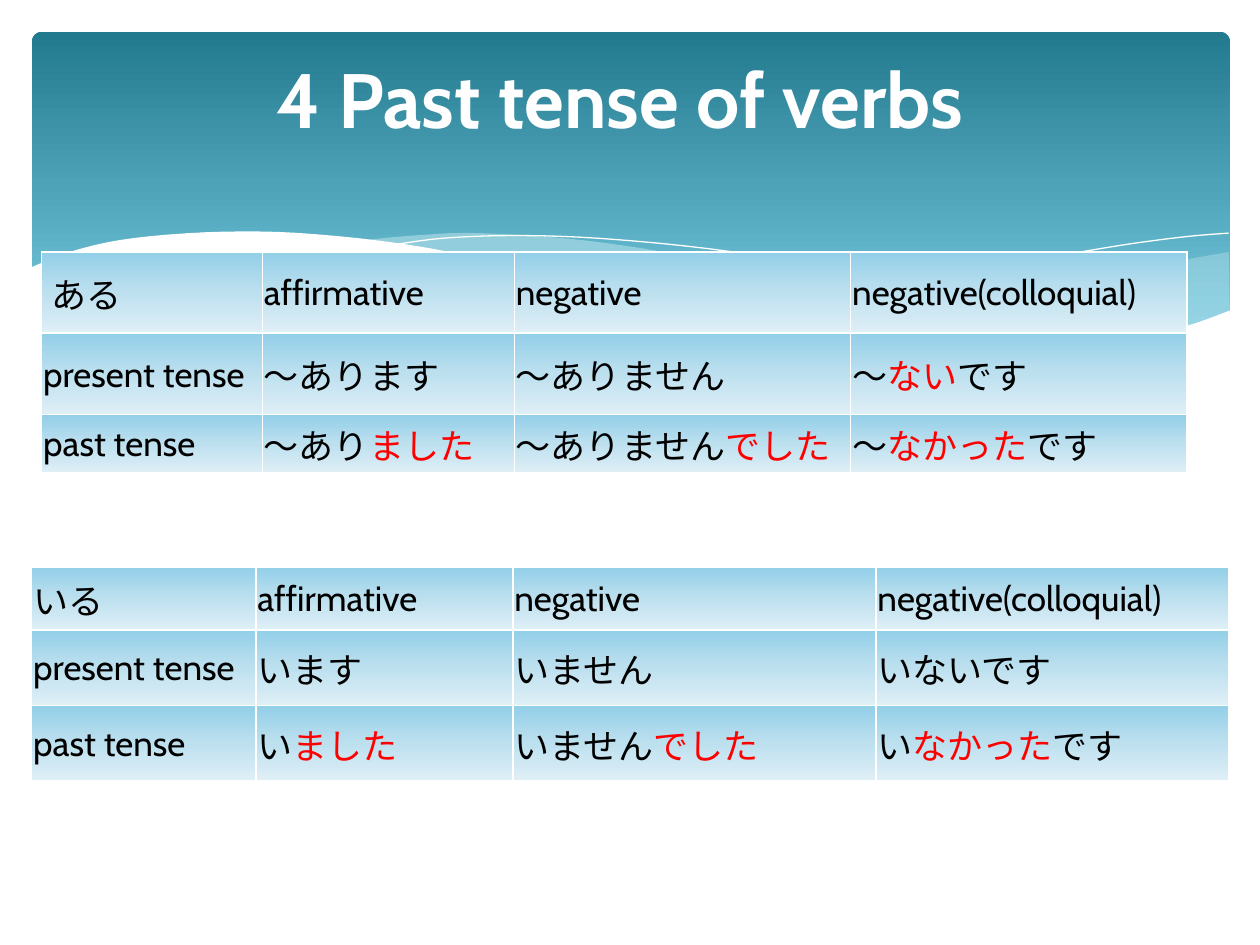
from dataclasses import dataclass
from typing import Optional

from lxml import etree
from pptx import Presentation
from pptx.dml.color import RGBColor
from pptx.enum.shapes import MSO_SHAPE
from pptx.enum.text import MSO_ANCHOR, PP_ALIGN
from pptx.oxml.ns import qn
from pptx.util import Cm, Pt

ROUNDED = MSO_SHAPE.ROUNDED_RECTANGLE
MIDDLE = MSO_ANCHOR.MIDDLE
CENTER = PP_ALIGN.CENTER

WHITE = RGBColor(0xFF, 0xFF, 0xFF)
BLACK = RGBColor(0x00, 0x00, 0x00)
RED = RGBColor(0xFF, 0x00, 0x00)
PALE = RGBColor(0xDE, 0xF5, 0xFA)
BAND_STOPS = ((0, RGBColor(0x22, 0x7A, 0x8F)), (90, RGBColor(0x7A, 0xCB, 0xE0)))
CELL_STOPS = (
    (0, RGBColor(0x92, 0xCF, 0xE8)),
    (50, RGBColor(0xBD, 0xE0, 0xEF)),
    (100, RGBColor(0xDF, 0xEF, 0xF6)),
)
MAIN_FONT = "Cabin"
STEM_FONT = "Calibri"

Point = tuple[float, float]


@dataclass
class Wave:
    """Smooth edges in centimetres; without a fill it is a thin white line."""
    edges: list[list[Point]]
    fill: Optional[RGBColor] = None
    opacity: int = 100


@dataclass
class Run:
    text: str
    color: RGBColor = BLACK
    font: str = MAIN_FONT


@dataclass
class VerbTable:
    left: float
    top: float
    columns: list[float]
    rows: list[float]
    cells: list[list[list[Run]]]


WAVES = [
    Wave([
        [(24.77, 5.08), (23.39, 5.33), (21.87, 5.66), (19.79, 6.15), (16.79, 6.73)],
        [(16.79, 6.73), (18.92, 6.99), (20.68, 7.06), (22.15, 6.96), (23.39, 6.73),
         (24.79, 6.27)],
    ], PALE, 29),
    Wave([
        [(22.68, 6.93), (20.5, 6.6), (17.93, 6.1), (15.98, 5.64), (14.1, 5.21),
         (11.81, 4.85), (9.65, 4.7), (8.33, 4.75), (7.26, 4.85)],
        [(7.26, 4.85), (9.19, 5.16), (11.4, 5.64), (14.38, 6.3), (16.51, 6.71),
         (18.34, 6.96), (19.94, 7.06), (21.29, 7.06), (22.68, 6.93)],
    ], PALE, 40),
    Wave([[(7.85, 4.95), (8.97, 4.8), (10.57, 4.75), (12.42, 4.83), (14.78, 5.08),
           (17.65, 5.56), (20.19, 6.12), (23.04, 6.91)]]),
    Wave([[(15.57, 6.53), (18.29, 5.82), (20.47, 5.33), (22.38, 4.98), (23.83, 4.78),
           (24.77, 4.7)]]),
    Wave([
        [(24.82, 6.25), (23.88, 6.58), (22.53, 6.88), (20.9, 7.04), (18.9, 6.96),
         (16.46, 6.65), (14.1, 6.22), (11.35, 5.59), (8.64, 5.0), (6.35, 4.72),
         (4.5, 4.67), (2.69, 4.8), (1.5, 5.05), (0.58, 5.41)],
        [(0.58, 8.36), (24.82, 8.36)],
    ], WHITE),
]

STEM = Run("い", font=STEM_FONT)
HEADINGS = [[Run(text)] for text in ("affirmative", "negative", "negative(colloquial)")]
PRESENT = [Run("present tense")]
PAST = [Run("past tense")]

ARU = VerbTable(0.84, 5.08, [4.45, 5.08, 6.78, 6.78], [1.63, 1.65, 1.17], [
    [[Run(" ある")], *HEADINGS],
    [PRESENT, [Run("～あります")], [Run("～ありません")],
     [Run("～"), Run("ない", RED), Run("です")]],
    [PAST, [Run("～あり"), Run("ました", RED)], [Run("～ありません"), Run("でした", RED)],
     [Run("～"), Run("なかった", RED), Run("です")]],
])
IRU = VerbTable(0.64, 11.43, [4.52, 5.18, 7.32, 7.11], [1.27, 1.52, 1.52], [
    [[Run("いる", font=STEM_FONT)], *HEADINGS],
    [PRESENT, [STEM, Run("ます")], [STEM, Run("ません")], [STEM, Run("ないです")]],
    [PAST, [STEM, Run("ました", RED)], [STEM, Run("ません"), Run("でした", RED)],
     [STEM, Run("なかった", RED), Run("です")]],
])


def set_gradient(fill, properties, stops) -> None:
    """Give a top-to-bottom gradient to the fill held in the properties element."""
    fill.gradient()
    fill.gradient_angle = 270
    stop_list = properties.find(qn("a:gradFill")).find(qn("a:gsLst"))
    for stop in list(stop_list):
        stop_list.remove(stop)
    for percent, color in stops:
        stop = etree.SubElement(stop_list, qn("a:gs"), pos=str(percent * 1000))
        etree.SubElement(stop, qn("a:srgbClr"), val=str(color))


def smooth(points: list[Point], steps: int = 5) -> list[Point]:
    """Return points along a Catmull-Rom curve; two points stay straight."""
    if len(points) < 3:
        return points
    padded = [points[0], *points, points[-1]]
    curve = [points[0]]
    for a, b, c, d in zip(padded, padded[1:], padded[2:], padded[3:]):
        for step in range(1, steps + 1):
            t = step / steps
            curve.append(tuple(
                q + t * (r - p) / 2 + t**2 * (p - 2.5 * q + 2 * r - s / 2)
                + t**3 * (3 * q - p - 3 * r + s) / 2
                for p, q, r, s in zip(a, b, c, d)
            ))
    return curve


def draw_wave(slide, wave: Wave) -> None:
    points = [(Cm(x), Cm(y)) for edge in wave.edges for x, y in smooth(edge)]
    builder = slide.shapes.build_freeform(*points[0])
    builder.add_line_segments(points[1:], close=wave.fill is not None)
    shape = builder.convert_to_shape()
    shape.shadow.inherit = False
    if wave.fill is None:
        shape.fill.background()
        shape.line.color.rgb = WHITE
        shape.line.width = Pt(0)
        return
    shape.line.fill.background()
    shape.fill.solid()
    shape.fill.fore_color.rgb = wave.fill
    if wave.opacity < 100:
        color = shape._element.spPr.find(qn("a:solidFill")).find(qn("a:srgbClr"))
        etree.SubElement(color, qn("a:alpha"), val=str(wave.opacity * 1000))


def add_run(paragraph, content: Run, size: int, bold: bool = False) -> None:
    run = paragraph.add_run()
    run.text = content.text
    run.font.name = content.font
    run.font.size = Pt(size)
    run.font.bold = bold
    run.font.color.rgb = content.color


def set_borders(cell) -> None:
    properties = cell._tc.get_or_add_tcPr()
    for index, side in enumerate(("lnL", "lnR", "lnT", "lnB")):
        line = etree.Element(qn(f"a:{side}"), w=str(Pt(1)))
        solid = etree.SubElement(line, qn("a:solidFill"))
        etree.SubElement(solid, qn("a:srgbClr"), val=str(WHITE))
        properties.insert(index, line)


def draw_table(slide, verb: VerbTable) -> None:
    table = slide.shapes.add_table(
        len(verb.rows), len(verb.columns), Cm(verb.left), Cm(verb.top),
        Cm(sum(verb.columns)), Cm(sum(verb.rows))).table
    table.first_row = table.horz_banding = False
    for column, width in zip(table.columns, verb.columns):
        column.width = Cm(width)
    for row, height, contents in zip(table.rows, verb.rows, verb.cells):
        row.height = Cm(height)
        for cell, runs in zip(row.cells, contents):
            cell.margin_left = cell.margin_right = cell.margin_top = Cm(0.03)
            cell.margin_bottom = 0
            cell.vertical_anchor = MIDDLE
            set_gradient(cell.fill, cell._tc.get_or_add_tcPr(), CELL_STOPS)
            set_borders(cell)
            for run in runs:
                add_run(cell.text_frame.paragraphs[0], run, 20)


def draw_band(slide) -> None:
    band = slide.shapes.add_shape(ROUNDED, Cm(0.64), Cm(0.64), Cm(24.16), Cm(6.86))
    band.adjustments[0] = 0.03
    band.shadow.inherit = False
    band.line.fill.background()
    set_gradient(band.fill, band._element.spPr, BAND_STOPS)


def place_title(slide, text: str) -> None:
    title = slide.shapes.title
    title.left, title.top, title.width, title.height = Cm(1.07), Cm(0.64), Cm(22.86), Cm(2.67)
    title.text_frame.vertical_anchor = MIDDLE
    paragraph = title.text_frame.paragraphs[0]
    paragraph.alignment = CENTER
    add_run(paragraph, Run(text, WHITE), 44, bold=True)
    slide.shapes._spTree.append(title._element)  # bring in front of the band


def main() -> None:
    presentation = Presentation()
    presentation.slide_width, presentation.slide_height = Cm(25.4), Cm(19.05)
    slide = presentation.slides.add_slide(presentation.slide_layouts[5])
    draw_band(slide)
    for wave in WAVES:
        draw_wave(slide, wave)
    draw_table(slide, ARU)
    place_title(slide, "4 Past tense of verbs")
    draw_table(slide, IRU)
    presentation.save("out.pptx")


if __name__ == "__main__":
    main()
